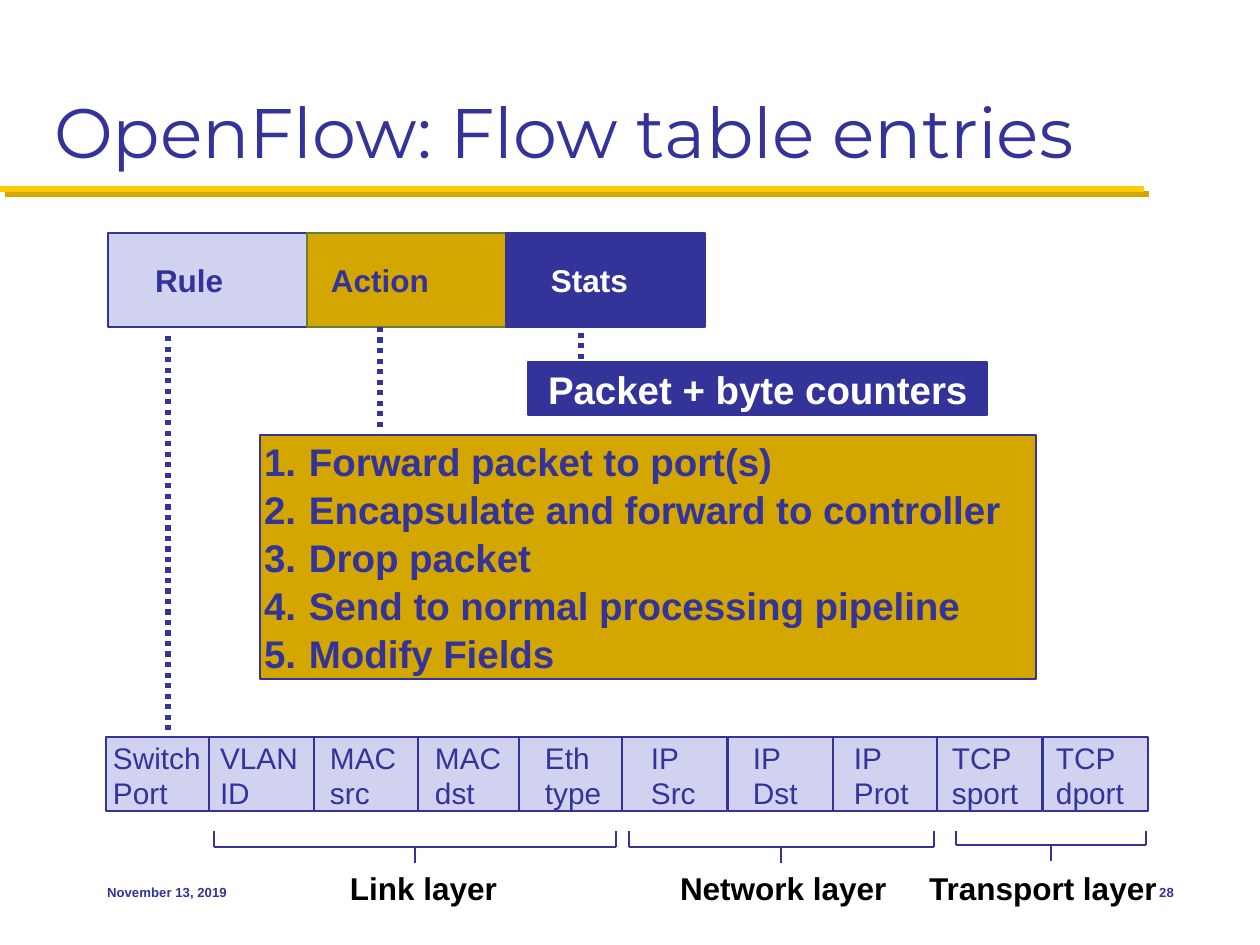
from lxml.etree import SubElement
from pptx import Presentation
from pptx.dml.color import RGBColor
from pptx.enum.dml import MSO_LINE
from pptx.enum.shapes import MSO_CONNECTOR, MSO_SHAPE
from pptx.enum.text import MSO_ANCHOR, MSO_AUTO_SIZE, PP_ALIGN
from pptx.oxml.ns import qn
from pptx.util import Pt

EMU_PER_PX = 914400 // 126
NAVY, GOLD, LAVENDER = "333399", "D3A600", "D1D1F0"
YELLOW, OLIVE, WHITE, BLACK = "FFCB05", "697D3A", "FFFFFF", "000000"


def px(length):
    return int(length * EMU_PER_PX)


def color(value):
    return RGBColor.from_string(value)


class SlideBuilder:
    font = "Arial"
    title_font = "Montserrat"

    def __init__(self, slide):
        self.slide = slide

    def place(self, shape, left, top, width, height):
        shape.left, shape.top = px(left), px(top)
        shape.width, shape.height = px(width), px(height)

    def paint(self, shape, fill, line):
        shape.fill.solid()
        shape.fill.fore_color.rgb = color(fill)
        shape.line.color.rgb = color(line)
        shape.line.width = Pt(1)

    def format_text(self, frame, size, ink, bold=False, align=PP_ALIGN.LEFT,
                    anchor=MSO_ANCHOR.MIDDLE, wrap=True, inset=0, font=None):
        frame.auto_size = MSO_AUTO_SIZE.NONE
        frame.word_wrap = wrap
        frame.vertical_anchor = anchor
        frame.margin_left = frame.margin_right = px(inset)
        frame.margin_top = frame.margin_bottom = px(inset / 2)
        for paragraph in frame.paragraphs:
            paragraph.alignment = align
            for run in paragraph.runs:
                run.font.name = font or self.font
                run.font.size = Pt(size)
                run.font.bold = bold
                run.font.color.rgb = color(ink)

    def title(self, text, *box):
        shape = self.slide.shapes.title
        self.place(shape, *box)
        shape.text_frame.text = text
        self.format_text(shape.text_frame, 40, NAVY, anchor=MSO_ANCHOR.BOTTOM,
                         inset=12, font=self.title_font)

    def numbered_list(self, items, *box):
        shape = self.slide.placeholders[1]
        self.place(shape, *box)
        self.paint(shape, GOLD, NAVY)
        shape.text_frame.text = "\n".join(items)
        for index, paragraph in enumerate(shape.text_frame.paragraphs):
            properties = paragraph._p.get_or_add_pPr()
            properties.set("marL", str(px(49)))
            properties.set("indent", str(-px(45)))
            SubElement(properties, qn("a:buFont"), typeface="+mj-lt")
            SubElement(properties, qn("a:buAutoNum"), type="arabicPeriod")
            paragraph.space_before = Pt(1 if index else 0)
            paragraph.space_after = Pt(0)
        self.format_text(shape.text_frame, 22, NAVY, bold=True)

    def rectangle(self, left, top, width, height, fill, line=NAVY):
        shape = self.slide.shapes.add_shape(
            MSO_SHAPE.RECTANGLE, px(left), px(top), px(width), px(height))
        shape.shadow.inherit = False
        self.paint(shape, fill, line)

    def text(self, text, left, top, width, height, size, ink, **style):
        shape = self.slide.shapes.add_textbox(
            px(left), px(top), px(width), px(height))
        shape.text_frame.text = text
        self.format_text(shape.text_frame, size, ink, **style)

    def line(self, x1, y1, x2, y2, ink=NAVY, width=0.75, dash=None):
        connector = self.slide.shapes.add_connector(
            MSO_CONNECTOR.STRAIGHT, px(x1), px(y1), px(x2), px(y2))
        connector.line.color.rgb = color(ink)
        connector.line.width = Pt(width)
        if dash:
            connector.line.dash_style = dash
        return SubElement(connector._element.spPr, qn("a:effectLst"))

    def title_rule(self, y, right):
        effects = self.line(0, y, right, y, YELLOW, 3.5)
        shadow = SubElement(effects, qn("a:outerShdw"), dist=str(Pt(4.2)),
                            dir="2700000", algn="ctr", rotWithShape="0")
        SubElement(shadow, qn("a:srgbClr"), val=GOLD)

    def dotted_line(self, x, top, bottom):
        self.line(x, top, x, bottom, width=3, dash=MSO_LINE.ROUND_DOT)

    def bracket(self, left, right, top, bar, bottom):
        middle = (left + right) // 2
        self.line(left, top, left, bar)
        self.line(left, bar, right, bar)
        self.line(right, top, right, bar)
        self.line(middle, bar, middle, bottom)


def main():
    presentation = Presentation()
    presentation.slide_width, presentation.slide_height = px(1260), px(945)
    slide = presentation.slides.add_slide(presentation.slide_layouts[1])
    builder = SlideBuilder(slide)

    # Title and its rule
    builder.title_rule(189, 1144)
    builder.title("OpenFlow: Flow table entries", 42, 21, 1176, 158)

    # Parts of a flow entry
    parts = [("Rule", 155, 69, LAVENDER, NAVY, NAVY),
             ("Action", 331, 99, GOLD, OLIVE, NAVY),
             ("Stats", 551, 78, NAVY, NAVY, WHITE)]
    for index, (name, left, width, fill, line, ink) in enumerate(parts):
        builder.rectangle(108 + 199 * index, 233, 199, 94, fill, line)
        builder.text(name, left, 261, width, 38, 18, ink, bold=True, wrap=False)

    # Dotted links from each part to its details
    builder.dotted_line(168, 336, 735)
    builder.dotted_line(380, 327, 432)
    builder.dotted_line(581, 359, 327)

    # Details of stats and action
    builder.rectangle(528, 362, 459, 53, NAVY)
    builder.text("Packet + byte counters", 548, 366, 426, 47, 22, WHITE,
                 bold=True, wrap=False)
    builder.numbered_list(["Forward packet to port(s)",
                           "Encapsulate and forward to controller",
                           "Drop packet",
                           "Send to normal processing pipeline",
                           "Modify Fields"], 260, 435, 776, 244)

    # Header fields matched by the rule: cell left, text left, text width
    fields = [("Switch\nPort", 106, 113, 88), ("VLAN\nID", 209, 220, 82),
              ("MAC\nsrc", 314, 330, 68), ("MAC\ndst", 418, 435, 68),
              ("Eth\ntype", 519, 545, 57), ("IP\nSrc", 622, 651, 45),
              ("IP\nDst", 728, 753, 45), ("IP\nProt", 833, 854, 55),
              ("TCP\nsport", 937, 952, 67), ("TCP\ndport", 1043, 1056, 69)]
    for name, cell_left, text_left, width in fields:
        builder.rectangle(cell_left, 737, 105, 74, LAVENDER)
        builder.text(name, text_left, 739, width, 72, 17, NAVY, wrap=False)

    # Layer brackets and labels
    layers = [("Link layer", 214, 616, 847, 338, 174, PP_ALIGN.LEFT),
              ("Network layer", 629, 934, 847, 668, 234, PP_ALIGN.LEFT),
              ("Transport layer", 956, 1146, 845, 881, 324, PP_ALIGN.CENTER)]
    for name, left, right, bar, label_left, width, align in layers:
        builder.bracket(left, right, 831, bar, bar + 16)
        builder.text(name, label_left, 863, width, 50, 18, BLACK, bold=True,
                     align=align, anchor=MSO_ANCHOR.TOP, wrap=False, inset=12)

    # Date and slide number
    footers = [("November 13, 2019", 95, 262, PP_ALIGN.LEFT),
               ("28", 1102, 84, PP_ALIGN.RIGHT)]
    for text, left, width, align in footers:
        builder.text(text, left, 861, width, 63, 7.5, NAVY, bold=True,
                     align=align, inset=12)

    presentation.save("out.pptx")


if __name__ == "__main__":
    main()
